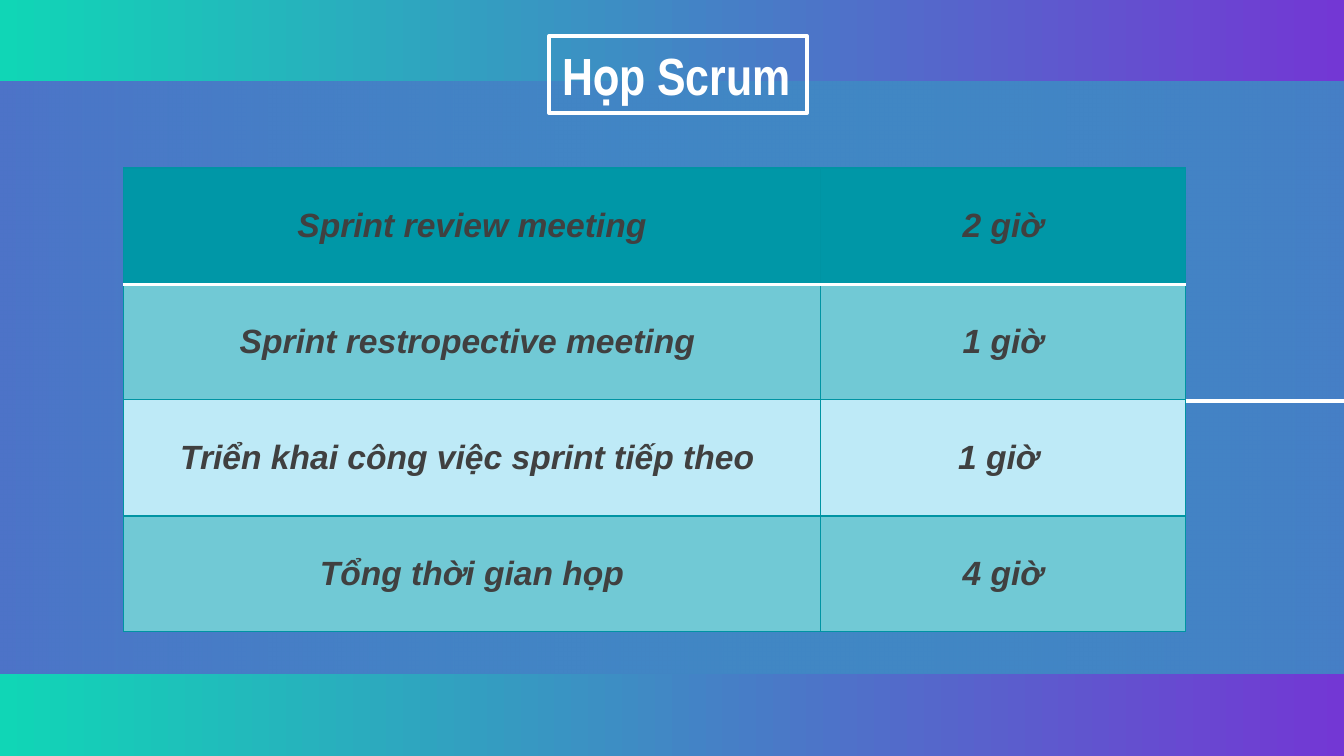
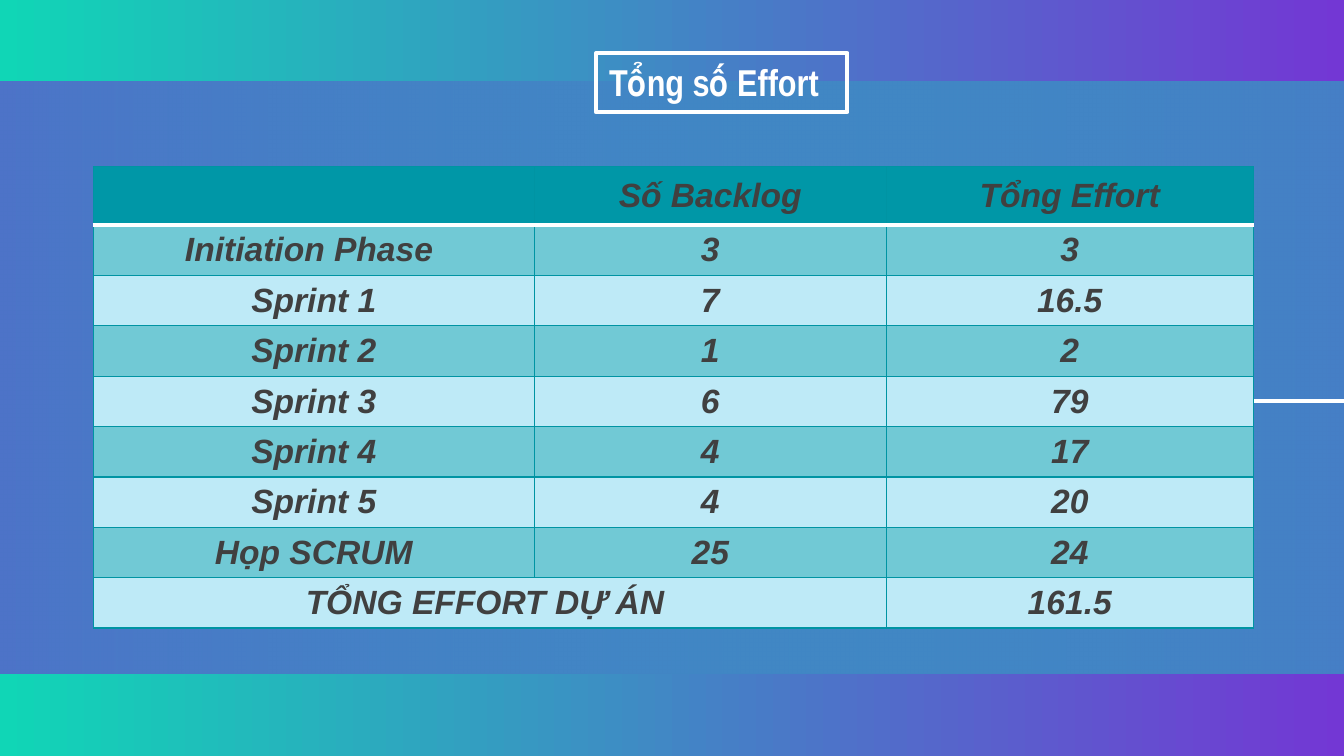
from lxml import etree
from pptx import Presentation
from pptx.dml.color import RGBColor
from pptx.enum.shapes import MSO_CONNECTOR as CONN, MSO_SHAPE as SHAPE
from pptx.enum.text import MSO_ANCHOR as ANCHOR, MSO_AUTO_SIZE as AUTO, PP_ALIGN as ALIGN
from pptx.oxml.ns import qn
from pptx.util import Pt

PX = 4572  # 200 px to the inch
W, H = 2000, 1125

MINT = RGBColor(0x10, 0xD6, 0xB6)
VIOLET = RGBColor(0x73, 0x37, 0xD4)
WHITE = RGBColor(0xFF, 0xFF, 0xFF)
INK = RGBColor(0x40, 0x40, 0x40)
HEADER = RGBColor(0x00, 0x97, 0xA7)
GRID = RGBColor(0x00, 0x94, 0xA3)
ROW_DARK = RGBColor(0x71, 0xC9, 0xD5)
ROW_LIGHT = RGBColor(0xBE, 0xEA, 0xF7)

SLIDES = [
    {
        "title": "Họp Scrum", "size": 28, "box": (817, 54, 384, 114),
        "table": (184, 250, 1580, 690), "cols": [1037, 543], "heights": [173, 172, 173, 172],
        "rows": [
            ["Sprint review meeting", "2 giờ"],
            ["Sprint restropective meeting ", "1 giờ"],
            ["Triển khai công việc sprint tiếp theo ", "1 giờ "],
            ["Tổng thời gian họp", "4 giờ"],
        ],
    },
    {
        "title": "Tổng số Effort", "size": 20, "box": (887, 79, 374, 88),
        "table": (139, 248, 1726, 687), "cols": [656, 524, 546], "heights": [87] + [75] * 8,
        "rows": [
            ["", "Số Backlog", "Tổng Effort"],
            ["Initiation Phase ", "3", "3"],
            ["Sprint 1", "7", "16.5"],
            ["Sprint 2", "1", "2"],
            ["Sprint 3", "6", "79"],
            ["Sprint 4", "4", "17"],
            ["Sprint 5", "4", "20"],
            ["Họp SCRUM", "25", "24"],
            ["TỔNG EFFORT DỰ ÁN ", None, "161.5"],  # None joins the cell to its left
        ],
    },
]


def set_gradient(fill, left, right):
    fill.gradient()
    fill.gradient_angle = 0
    for stop, color in zip(fill.gradient_stops, (left, right)):
        stop.color.rgb = color


def set_borders(cell, row):
    """Thin grid lines, with a thick white rule between header and body."""
    tcPr = cell._tc.get_or_add_tcPr()
    white_side = {0: "lnB", 1: "lnT"}.get(row)
    for i, side in enumerate(("lnL", "lnR", "lnT", "lnB")):
        color, width = (WHITE, 2) if side == white_side else (GRID, 0.75)
        ln = etree.Element(qn(f"a:{side}"), w=str(Pt(width)))
        solid = etree.SubElement(ln, qn("a:solidFill"))
        etree.SubElement(solid, qn("a:srgbClr"), val=str(color))
        tcPr.insert(i, ln)


prs = Presentation()
prs.slide_width, prs.slide_height = W * PX, H * PX

for page in SLIDES:
    slide = prs.slides.add_slide(prs.slide_layouts[6])
    shapes = slide.shapes
    set_gradient(slide.background.fill, MINT, VIOLET)

    # Translucent band
    band = shapes.add_shape(SHAPE.RECTANGLE, 0, 122 * PX, W * PX, 880 * PX)
    band.shadow.inherit = False
    band.line.fill.background()
    set_gradient(band.fill, VIOLET, MINT)
    for clr, percent in zip(band._element.spPr.iter(qn("a:srgbClr")), (62, 46)):
        etree.SubElement(clr, qn("a:alpha"), val=str(percent * 1000))

    # Line running to the right edge
    rule = shapes.add_connector(CONN.STRAIGHT, W * PX, 597 * PX, 1000 * PX, 597 * PX)
    rule.line.color.rgb = WHITE
    rule.line.width = Pt(2.25)
    etree.SubElement(rule._element.spPr, qn("a:effectLst"))

    # Framed title
    title = shapes.add_shape(SHAPE.RECTANGLE, *(v * PX for v in page["box"]))
    title.shadow.inherit = False
    title.fill.background()
    title.line.color.rgb = WHITE
    title.line.width = Pt(2.25)
    tf = title.text_frame
    tf.word_wrap = False
    tf.auto_size = AUTO.SHAPE_TO_FIT_TEXT
    tf.vertical_anchor = ANCHOR.TOP
    p = tf.paragraphs[0]
    p.alignment = ALIGN.LEFT
    r = p.add_run()
    r.text = page["title"]
    r.font.name, r.font.size, r.font.bold = "Arial Narrow", Pt(page["size"]), True
    r.font.color.rgb = WHITE

    # Table
    rows, cols = page["rows"], page["cols"]
    frame = shapes.add_table(len(rows), len(cols), *(v * PX for v in page["table"]))
    table = frame.table
    for column, width in zip(table.columns, cols):
        column.width = width * PX
    for row, height in zip(table.rows, page["heights"]):
        row.height = height * PX

    for i, texts in enumerate(rows):
        for j, text in enumerate(texts):
            cell = table.cell(i, j)
            cell.fill.solid()
            cell.fill.fore_color.rgb = HEADER if i == 0 else ROW_DARK if i % 2 else ROW_LIGHT
            set_borders(cell, i)
            if text is None:
                table.cell(i, j - 1).merge(cell)
                continue
            cell.vertical_anchor = ANCHOR.MIDDLE
            cell.margin_left = cell.margin_right = 20 * PX
            cell.margin_top = cell.margin_bottom = 7 * PX
            if not text:
                continue
            p = cell.text_frame.paragraphs[0]
            p.alignment = ALIGN.CENTER
            r = p.add_run()
            r.text = text
            r.font.name, r.font.size = "Arial", Pt(18)
            r.font.bold = r.font.italic = True
            r.font.color.rgb = INK

prs.save("out.pptx")
